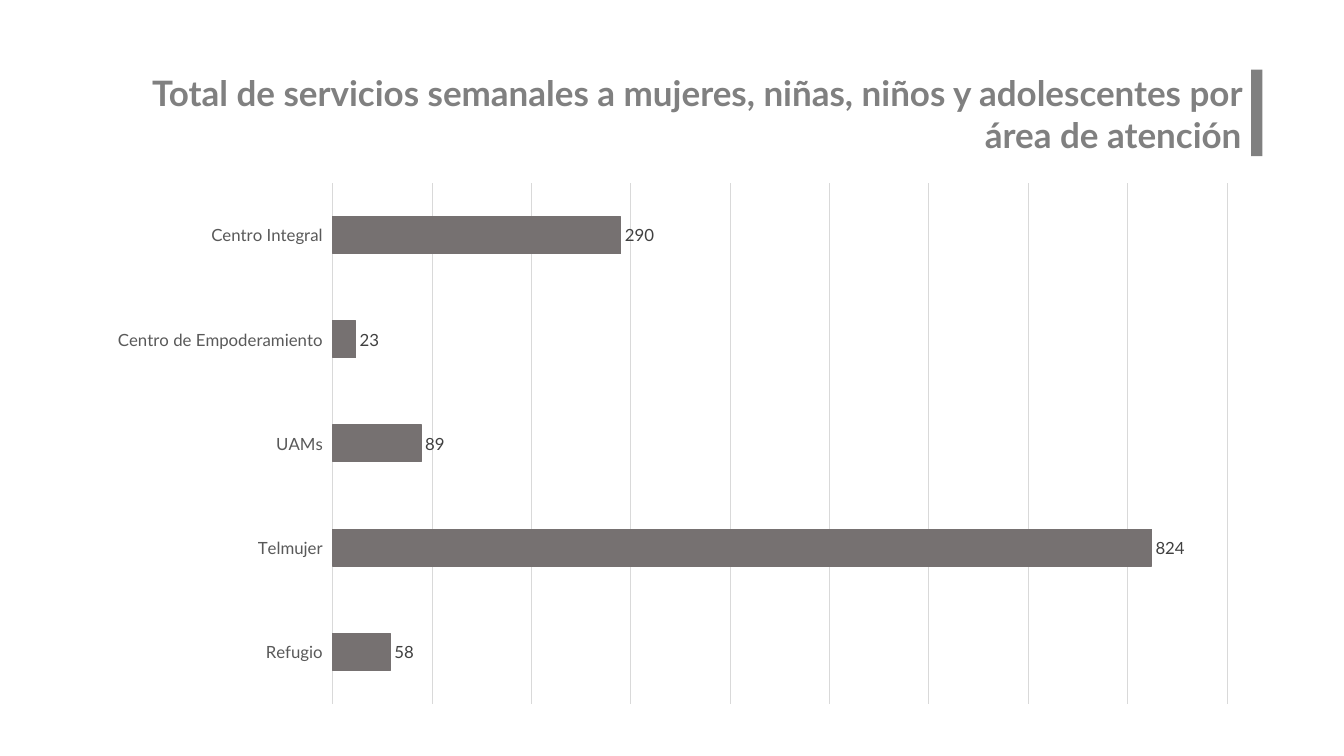
from pptx import Presentation
from pptx.chart.data import CategoryChartData
from pptx.dml.color import RGBColor
from pptx.enum.chart import XL_CHART_TYPE, XL_LABEL_POSITION, XL_TICK_LABEL_POSITION, XL_TICK_MARK
from pptx.enum.shapes import MSO_SHAPE
from pptx.enum.text import MSO_AUTO_SIZE, PP_ALIGN
from pptx.util import Inches, Pt

RECTANGLE = MSO_SHAPE.RECTANGLE
BAR_CLUSTERED = XL_CHART_TYPE.BAR_CLUSTERED
OUTSIDE_END = XL_LABEL_POSITION.OUTSIDE_END
NO_TICK = XL_TICK_MARK.NONE
LOW = XL_TICK_LABEL_POSITION.LOW
FIT_SHAPE = MSO_AUTO_SIZE.SHAPE_TO_FIT_TEXT
RIGHT = PP_ALIGN.RIGHT

BLACK = RGBColor(0x00, 0x00, 0x00)
TITLE_GRAY = RGBColor(0x80, 0x80, 0x80)
BAR_GRAY = RGBColor(0x76, 0x71, 0x71)
GRID_GRAY = RGBColor(0xD9, 0xD9, 0xD9)
AXIS_GRAY = RGBColor(0x59, 0x59, 0x59)
LABEL_GRAY = RGBColor(0x40, 0x40, 0x40)

SERVICES = {
    "Centro Integral": 290,
    "Centro de Empoderamiento": 23,
    "UAMs": 89,
    "Telmujer": 824,
    "Refugio": 58,
}


class ServicesSlide:
    font_name = "Lato"

    def __init__(self, deck):
        self.page = deck.slides.add_slide(deck.slide_layouts[6])

    def style_font(self, font, size, color, bold=False):
        font.name = self.font_name
        font.size = Pt(size)
        font.color.rgb = color
        font.bold = bold

    def style_line(self, line, color):
        line.color.rgb = color
        line.width = Pt(0.75)

    def add_accent(self, left, top, width, height):
        accent = self.page.shapes.add_shape(
            RECTANGLE, Inches(left), Inches(top), Inches(width), Inches(height))
        accent.shadow.inherit = False
        accent.fill.solid()
        accent.fill.fore_color.rgb = TITLE_GRAY
        accent.line.fill.background()

    def add_title(self, text, left, top, width, height):
        box = self.page.shapes.add_textbox(
            Inches(left), Inches(top), Inches(width), Inches(height))
        frame = box.text_frame
        frame.word_wrap = True
        frame.auto_size = FIT_SHAPE
        frame.text = text
        para = frame.paragraphs[0]
        para.alignment = RIGHT
        self.style_font(para.runs[0].font, 25, TITLE_GRAY, True)

    def add_bar_chart(self, values, left, top, width, height):
        data = CategoryChartData()
        data.categories = list(values)
        data.add_series("Series 1", list(values.values()))
        chart = self.page.shapes.add_chart(
            BAR_CLUSTERED, Inches(left), Inches(top),
            Inches(width), Inches(height), data).chart
        chart.has_legend = False
        chart.has_title = False
        self.style_font(chart.font, 10, BLACK)

        areas = chart.category_axis
        areas.reverse_order = True
        areas.major_tick_mark = NO_TICK
        areas.minor_tick_mark = NO_TICK
        areas.tick_label_position = LOW
        self.style_font(areas.tick_labels.font, 12, AXIS_GRAY)
        self.style_line(areas.format.line, GRID_GRAY)

        scale = chart.value_axis
        scale.minimum_scale = 0
        scale.maximum_scale = 900
        scale.major_unit = 100
        scale.has_major_gridlines = True
        self.style_line(scale.major_gridlines.format.line, GRID_GRAY)
        scale.visible = False

        plot = chart.plots[0]
        plot.gap_width = 182
        plot.vary_by_categories = False
        bars = plot.series[0]
        bars.format.fill.solid()
        bars.format.fill.fore_color.rgb = BAR_GRAY
        self.style_line(bars.format.line, BAR_GRAY)
        labels = bars.data_labels
        labels.show_value = True
        labels.position = OUTSIDE_END
        self.style_font(labels.font, 12, LABEL_GRAY)


def main():
    deck = Presentation()
    deck.slide_width = Inches(13.33)
    deck.slide_height = Inches(7.5)
    slide = ServicesSlide(deck)
    slide.add_accent(12.41, 0.69, 0.11, 0.86)
    slide.add_title(
        "Total de servicios semanales a mujeres, niñas, niños y adolescentes por área de atención",
        0.69, 0.66, 11.72, 0.94)
    slide.add_bar_chart(SERVICES, 0.94, 1.71, 11.46, 5.38)
    deck.save("out.pptx")


if __name__ == "__main__":
    main()
